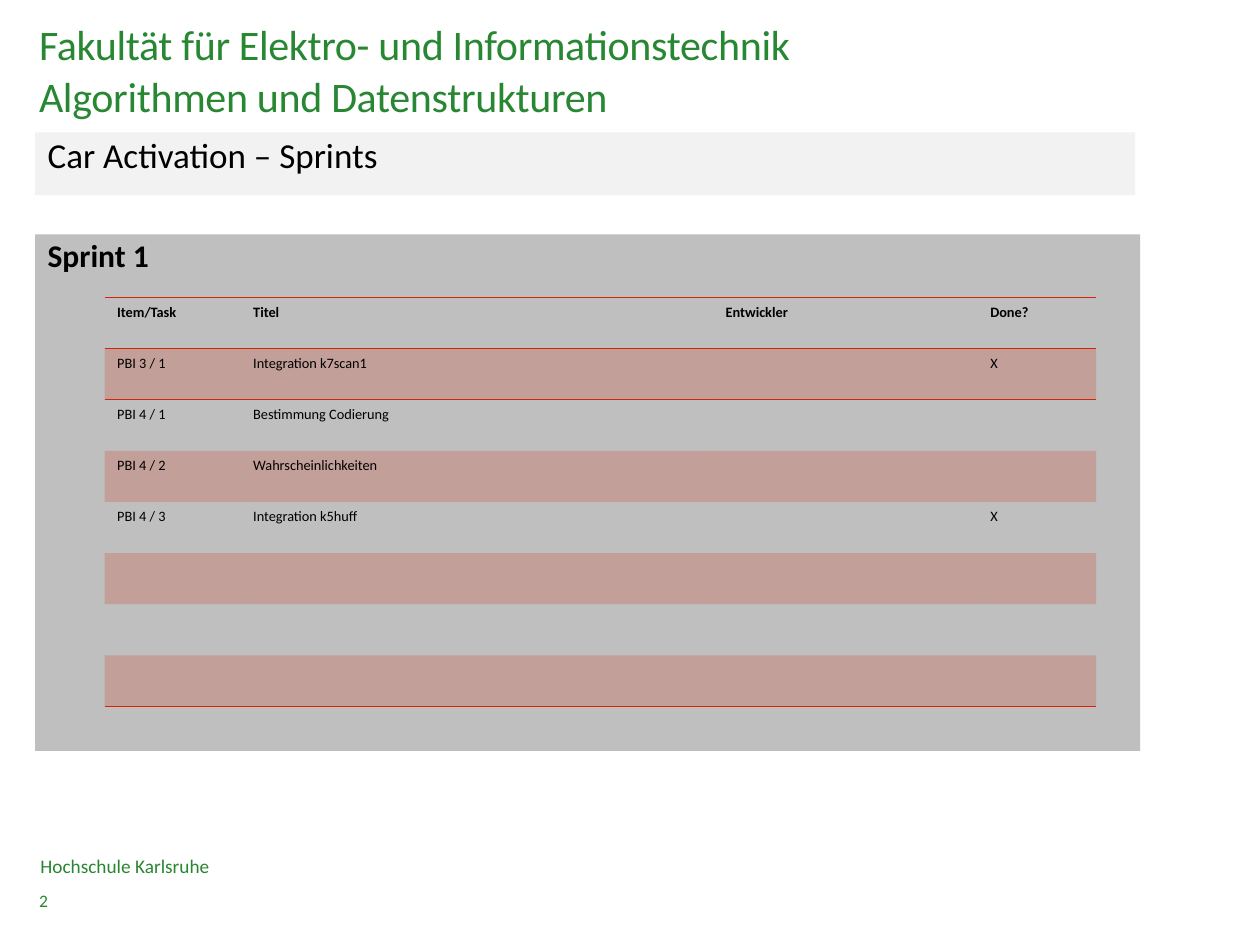
from lxml import etree
from pptx import Presentation
from pptx import util as u
from pptx.dml.color import RGBColor
from pptx.enum import shapes, text
from pptx.oxml import ns

COLORS = {
    "title": "288732",
    "footer": "288632",
    "ink": "000000",
    "heading": "F2F2F2",
    "panel": "BFBFBF",
    "accent": "D62305",
}
GRID_COLUMNS, GRID_ROWS = 100, 75
NO_STYLE = "{2D5ABB26-0587-4C30-8999-92F81FD0307C}"


def put_text(frame, content, size, color="ink", bold=False, spacing=None,
             tracking=None, anchor=text.MSO_ANCHOR.TOP, inset=None):
    frame.word_wrap = True
    frame.auto_size = text.MSO_AUTO_SIZE.NONE
    frame.vertical_anchor = anchor
    if inset is not None:
        frame.margin_left = frame.margin_right = inset
        frame.margin_top = frame.margin_bottom = inset
    for index, line in enumerate(content.split("\n")):
        paragraph = frame.add_paragraph() if index else frame.paragraphs[0]
        paragraph.alignment = text.PP_ALIGN.LEFT
        paragraph.space_before = u.Pt(0)
        if spacing:
            paragraph.line_spacing = spacing
        run = paragraph.add_run()
        run.text = line
        run.font.name = "Calibri"
        run.font.size = u.Pt(size)
        run.font.bold = bold
        run.font.color.rgb = RGBColor.from_string(COLORS[color])
        if tracking:
            run.font._element.set("spc", str(tracking))


class SprintDeck:
    def __init__(self):
        self.deck = Presentation()
        self.deck.slide_width, self.deck.slide_height = u.Inches(10), u.Inches(7.5)
        self.column = self.deck.slide_width / GRID_COLUMNS
        self.row = self.deck.slide_height / GRID_ROWS
        self.slide = self.deck.slides.add_slide(self.deck.slide_layouts[5])

    def area(self, left, top, width, height):
        return (int(left * self.column), int(top * self.row),
                int(width * self.column), int(height * self.row))

    def title(self, content, *place):
        heading = self.slide.shapes.title
        heading.left, heading.top, heading.width, heading.height = self.area(*place)
        put_text(heading.text_frame, content, 24, "title",
                 spacing=u.Pt(30), tracking=-20, inset=0)

    def label(self, content, *place, **style):
        box = self.slide.shapes.add_textbox(*self.area(*place))
        put_text(box.text_frame, content, color="footer", inset=0, **style)

    def panel(self, content, fill, *place, **style):
        band = self.slide.shapes.add_shape(shapes.MSO_SHAPE.RECTANGLE, *self.area(*place))
        band.shadow.inherit = False
        band.fill.solid()
        band.fill.fore_color.rgb = RGBColor.from_string(COLORS[fill])
        band.line.fill.background()
        put_text(band.text_frame, content, spacing=0.9, **style)

    def rule(self, cell, sides):
        properties = cell._tc.get_or_add_tcPr()
        for position, side in enumerate(sides):
            line = etree.Element(ns.qn(f"a:{side}"), w=str(u.Pt(1)))
            fill = etree.SubElement(line, ns.qn("a:solidFill"))
            etree.SubElement(fill, ns.qn("a:srgbClr"), val=COLORS["accent"])
            properties.insert(position, line)

    def tint(self, cell, percent):
        cell.fill.solid()
        cell.fill.fore_color.rgb = RGBColor.from_string(COLORS["accent"])
        color = cell._tc.tcPr.find(f".//{ns.qn('a:srgbClr')}")
        etree.SubElement(color, ns.qn("a:alpha"), val=str(percent * 1000))

    def table(self, records, widths, left, top, height):
        frame = self.slide.shapes.add_table(
            len(records), len(widths), *self.area(left, top, sum(widths), height))
        tasks = frame.table
        tasks.first_row = tasks.horz_banding = False
        tasks._tbl.tblPr.find(ns.qn("a:tableStyleId")).text = NO_STYLE
        for column, width in zip(tasks.columns, widths):
            column.width = int(width * self.column)
        last = len(records) - 1
        for r, record in enumerate(records):
            tasks.rows[r].height = int(height * self.row / len(records))
            for c, entry in enumerate(record):
                cell = tasks.cell(r, c)
                put_text(cell.text_frame, entry, 8.2, bold=r == 0)
                if r % 2:
                    self.tint(cell, 20)
                else:
                    cell.fill.background()
                if r == 0:
                    self.rule(cell, ["lnT", "lnB"])
                elif r == 1:
                    self.rule(cell, ["lnT"])
                elif r == last:
                    self.rule(cell, ["lnB"])


def main():
    sprints = SprintDeck()
    sprints.title("Fakultät für Elektro- und Informationstechnik\n"
                  "Algorithmen und Datenstrukturen", 3.1, 1.3, 87, 9.2)
    sprints.label("2", 3.1, 70.6, 33.8, 1.1, size=10)
    sprints.label("Hochschule Karlsruhe", 3.2, 68.2, 86.9, 1.1, size=11,
                  anchor=text.MSO_ANCHOR.MIDDLE)
    sprints.panel("Car Activation – Sprints", "heading", 2.8, 10.5, 87.3, 5, size=20)
    sprints.panel("Sprint 1", "panel", 2.8, 18.6, 87.7, 41, size=18, bold=True)
    blank = ("", "", "", "")
    records = [
        ("Item/Task", "Titel", "Entwickler", "Done?"),
        ("PBI 3 / 1", "Integration k7scan1", "", "X"),
        ("PBI 4 / 1", "Bestimmung Codierung", "", ""),
        ("PBI 4 / 2", "Wahrscheinlichkeiten", "", ""),
        ("PBI 4 / 3", "Integration k5huff", "", "X"),
        blank, blank, blank,
    ]
    sprints.table(records, [10.8, 37.5, 21, 9.4], 8.3, 23.6, 32.5)
    sprints.deck.save("out.pptx")


if __name__ == "__main__":
    main()
